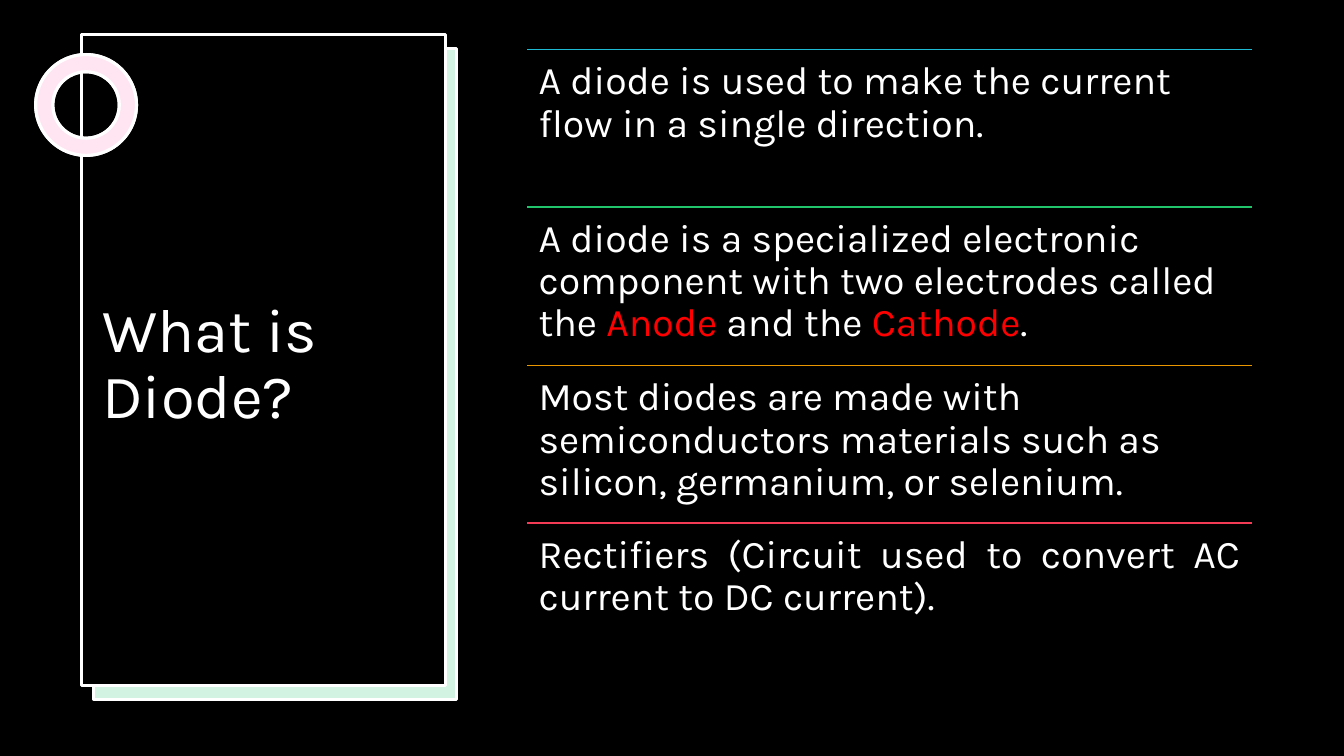
from lxml.etree import SubElement
from pptx import Presentation
from pptx.dml.color import RGBColor
from pptx.enum.shapes import MSO_CONNECTOR, MSO_SHAPE as SHAPE
from pptx.enum.text import MSO_ANCHOR as ANCHOR, PP_ALIGN as ALIGN
from pptx.oxml.ns import qn
from pptx.util import Pt

PX = 9525
FONT = "Karla"
BLACK = RGBColor(0x00, 0x00, 0x00)
WHITE = RGBColor(0xFF, 0xFF, 0xFF)
RED = RGBColor(0xFF, 0x00, 0x00)
CYAN = RGBColor(0x1E, 0xB9, 0xD3)
GREEN = RGBColor(0x21, 0xC4, 0x6B)
ORANGE = RGBColor(0xEA, 0x96, 0x00)
CRIMSON = RGBColor(0xF4, 0x3B, 0x56)
PINK = RGBColor(0xFF, 0x80, 0xBD)

ROW_LEFT, ROW_TOP, ROW_WIDTH, ROWS_HEIGHT = 502, 47, 690, 602
ROWS = [
    (CYAN, ALIGN.LEFT, [
        ("A diode is used to make the current flow in a single direction.", WHITE)]),
    (GREEN, ALIGN.LEFT, [
        ("A diode is a specialized electronic component with two electrodes called the ", WHITE),
        ("Anode ", RED), ("and the ", WHITE), ("Cathode", RED), (".", WHITE)]),
    (ORANGE, ALIGN.LEFT, [
        ("Most diodes are made with semiconductors materials such as silicon, "
         "germanium, or selenium.", WHITE)]),
    (CRIMSON, ALIGN.JUSTIFY, [
        ("Rectifiers (Circuit used to convert AC current to DC current).", WHITE)]),
]


def px(*lengths):
    return [n * PX for n in lengths]


def add_panel(slide, kind, box, color, alpha=100, outlined=True):
    sp = slide.shapes.add_shape(kind, *px(*box))
    sp.shadow.inherit = False
    sp.fill.solid()
    sp.fill.fore_color.rgb = color
    if alpha < 100:
        srgb = sp.fill._xPr.find(qn("a:solidFill")).find(qn("a:srgbClr"))
        SubElement(srgb, qn("a:alpha")).set("val", str(alpha * 1000))
    if outlined:
        sp.line.color.rgb = WHITE
        sp.line.width = Pt(2.25)
    else:
        sp.line.fill.background()
    return sp


def add_ring(slide, box, color, alpha=100):
    sp = add_panel(slide, SHAPE.DONUT, box, color, alpha)
    sp.adjustments[0] = 0.17


def add_text(slide, box, runs, size, anchor=ANCHOR.TOP, align=ALIGN.LEFT, inset=None):
    tf = slide.shapes.add_textbox(*px(*box)).text_frame
    tf.word_wrap = True
    tf.vertical_anchor = anchor
    if inset is not None:
        tf.margin_left = tf.margin_right = tf.margin_top = tf.margin_bottom = inset * PX
    p = tf.paragraphs[0]
    p.alignment = align
    p.line_spacing = 0.9
    for text, color in runs:
        r = p.add_run()
        r.text = text
        r.font.name = FONT
        r.font.size = Pt(size)
        r.font.color.rgb = color


def add_rule(slide, left, top, width, color):
    line = slide.shapes.add_connector(
        MSO_CONNECTOR.STRAIGHT, *px(left, top, left + width, top))
    line.line.color.rgb = color
    line.line.width = Pt(1)
    SubElement(line._element.spPr, qn("a:effectLst"))


def add_row(slide, top, bottom, color, align, runs):
    add_rule(slide, ROW_LEFT, top, ROW_WIDTH, color)
    add_text(slide, (ROW_LEFT, top, ROW_WIDTH, bottom - top), runs, 28,
             align=align, inset=11)


def main():
    prs = Presentation()
    prs.slide_width, prs.slide_height = px(1280, 720)
    slide = prs.slides.add_slide(prs.slide_layouts[6])
    slide.background.fill.solid()
    slide.background.fill.fore_color.rgb = BLACK

    add_panel(slide, SHAPE.RECTANGLE, (88, 47, 346, 620), WHITE, outlined=False)
    add_panel(slide, SHAPE.RECTANGLE, (89, 46, 346, 620), GREEN, alpha=20)
    add_panel(slide, SHAPE.RECTANGLE, (78, 33, 346, 620), BLACK)
    for color, alpha in ((WHITE, 100), (PINK, 20)):
        add_ring(slide, (34, 52, 96, 96), color, alpha)
    add_text(slide, (88, 126, 326, 444), [("What is Diode?", WHITE)], 44,
             anchor=ANCHOR.MIDDLE)

    tops = [ROW_TOP + i * ROWS_HEIGHT // len(ROWS) for i in range(len(ROWS) + 1)]
    for top, bottom, row in zip(tops, tops[1:], ROWS):
        add_row(slide, top, bottom, *row)

    prs.save("out.pptx")


if __name__ == "__main__":
    main()
